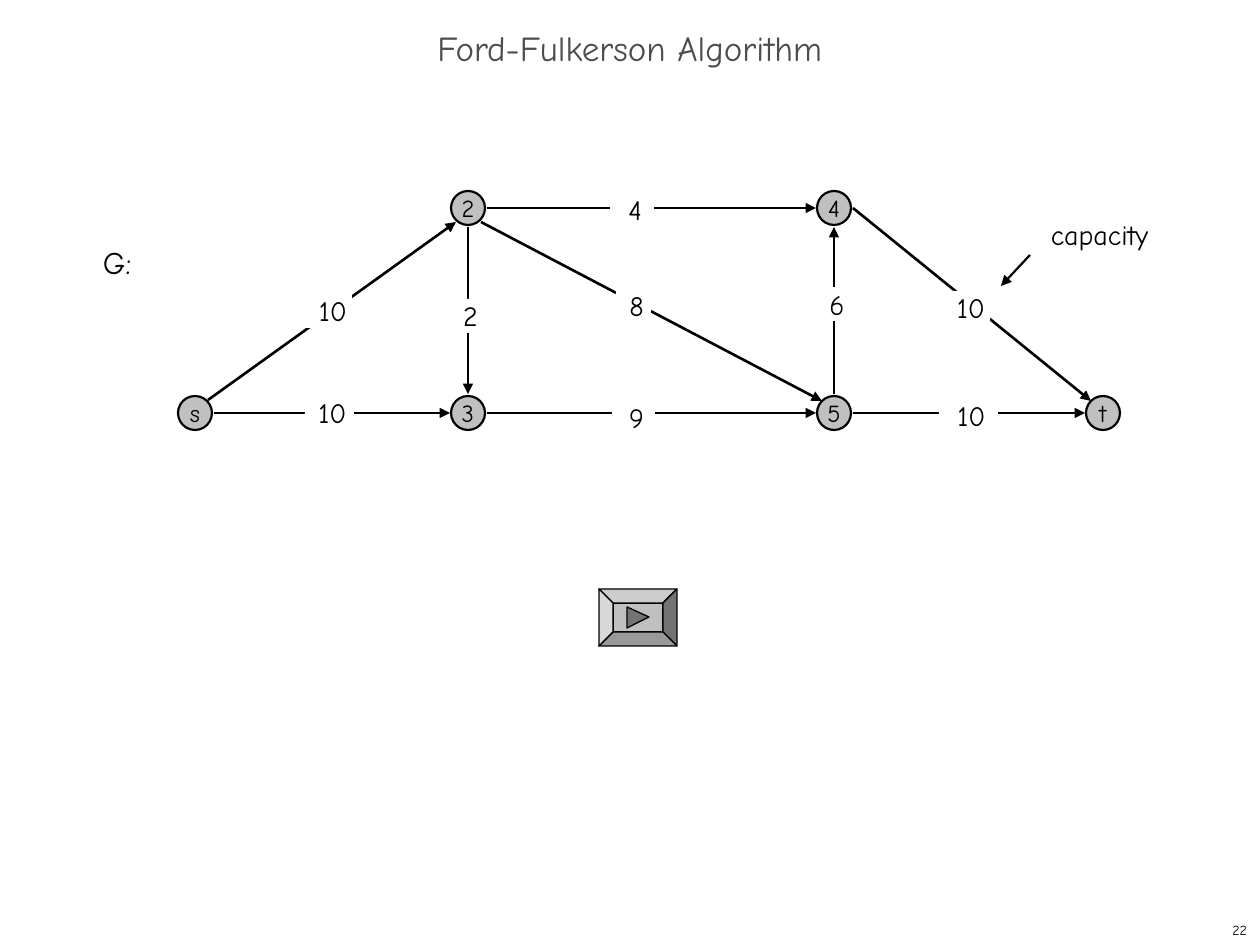
from lxml.etree import SubElement
from pptx import Presentation
from pptx.dml.color import RGBColor
from pptx.enum.shapes import MSO_CONNECTOR, MSO_SHAPE
from pptx.enum.text import MSO_ANCHOR as Anchor, PP_ALIGN as Align
from pptx.oxml.ns import qn
from pptx.util import Pt

PX = 914400 / 126
FONT = "Comic Neue"
BLACK = RGBColor(0x00, 0x00, 0x00)
WHITE = RGBColor(0xFF, 0xFF, 0xFF)
TITLE_GRAY = RGBColor(0x4D, 0x4D, 0x4D)
NODE_GRAY = RGBColor(0xC0, 0xC0, 0xC0)
BEVEL_TOP = RGBColor(0xCC, 0xCC, 0xCC)
BEVEL_RIGHT = RGBColor(0x73, 0x73, 0x73)
BEVEL_BOTTOM = RGBColor(0x99, 0x99, 0x99)
BEVEL_LEFT = RGBColor(0xD9, 0xD9, 0xD9)

NODE_SIZE = 34
NODES = {
    "s": (195, 413), "2": (468, 208), "3": (468, 413),
    "4": (834, 208), "5": (834, 413), "t": (1103, 413),
}
SIDES = {
    "N": (0, -19), "S": (0, 19), "E": (19, 0), "W": (-18, 0),
    "NE": (13, -13), "NW": (-12, -12), "SE": (13, 14), "SW": (-12, 14),
}
EDGES = [
    ("s", "NE", "2", "SW"), ("s", "E", "3", "W"), ("3", "E", "5", "W"),
    ("2", "E", "4", "W"), ("2", "S", "3", "N"), ("5", "N", "4", "S"),
    ("2", "SE", "5", "NW"), ("4", "E", "t", "NW"), ("5", "E", "t", "W"),
]
LABEL_HEIGHT = 34
CAPACITIES = [
    ("10", 305, 396, 49, 6), ("10", 294, 294, 58, 20),
    ("9", 612, 401, 43, 6), ("8", 616, 289, 35, 6),
    ("4", 610, 193, 44, 6), ("10", 939, 399, 59, 6),
    ("10", 932, 291, 58, 20), ("6", 805, 287, 58, 6),
    ("2", 438, 299, 59, 6),
]


def px(length):
    """Turn px into EMU."""
    return round(length * PX)


def write(shape, text, size, color=BLACK, align=Align.CENTER,
          anchor=Anchor.TOP, insets=(0, 0, 0, 0), wrap=True, spacing=None):
    """Set one styled paragraph in a shape."""
    frame = shape.text_frame
    left, top, right, bottom = map(px, insets)
    frame_format = {
        "margin_left": left, "margin_top": top, "margin_right": right,
        "margin_bottom": bottom, "vertical_anchor": anchor, "word_wrap": wrap,
    }
    for name, value in frame_format.items():
        setattr(frame, name, value)
    paragraph = frame.paragraphs[0]
    paragraph.alignment = align
    paragraph.line_spacing = spacing
    run = paragraph.add_run()
    run.text = text
    for name, value in {"name": FONT, "size": Pt(size)}.items():
        setattr(run.font, name, value)
    run.font.color.rgb = color


def paint(shape, fill, line_width=None):
    """Give a shape a flat fill and an optional black outline."""
    shape.shadow.inherit = False
    shape.fill.solid()
    shape.fill.fore_color.rgb = fill
    if line_width is None:
        shape.line.fill.background()
    else:
        shape.line.color.rgb = BLACK
        shape.line.width = Pt(line_width)


def add_caption(slide, box, text, size, **text_format):
    """Add a text box with the usual insets."""
    caption = slide.shapes.add_textbox(*map(px, box))
    write(caption, text, size, insets=(13, 6, 13, 6), **text_format)


def add_node(slide, name, center):
    """Add a named circle around its center."""
    left, top = (value - NODE_SIZE / 2 for value in center)
    node = slide.shapes.add_shape(
        MSO_SHAPE.OVAL, *map(px, (left, top, NODE_SIZE, NODE_SIZE)))
    paint(node, NODE_GRAY, 1.25)
    write(node, name, 14, anchor=Anchor.MIDDLE, insets=(13, 6, 13, 6), wrap=False)


def add_arrow(slide, start, end, width):
    """Add a straight arrow from start to end."""
    arrow = slide.shapes.add_connector(
        MSO_CONNECTOR.STRAIGHT, *map(px, (*start, *end)))
    arrow.line.color.rgb = BLACK
    arrow.line.width = Pt(width)
    SubElement(arrow.line._get_or_add_ln(), qn("a:tailEnd"), type="triangle")
    SubElement(arrow._element.spPr, qn("a:effectLst"))


def port(node, side):
    """Return the point where an edge meets a node."""
    return tuple(c + d for c, d in zip(NODES[node], SIDES[side]))


def add_label(slide, text, box, indent, size=16, align=Align.CENTER):
    """Add a white label that interrupts the edge behind it."""
    label = slide.shapes.add_shape(MSO_SHAPE.RECTANGLE, *map(px, box))
    paint(label, WHITE)
    write(label, text, size, align=align, insets=(indent, 0, 0, 0))


def add_facet(slide, points, fill):
    """Add one closed polygon of the button."""
    builder = slide.shapes.build_freeform(*points[0], scale=PX)
    builder.add_line_segments(points[1:], close=True)
    paint(builder.convert_to_shape(), fill, 0.75)


def add_play_button(slide, left, top, right, bottom, bevel):
    """Add a beveled button with a play triangle."""
    outer = [(left, top), (right, top), (right, bottom), (left, bottom)]
    inner = [(left + bevel, top + bevel), (right - bevel, top + bevel),
             (right - bevel, bottom - bevel), (left + bevel, bottom - bevel)]
    add_facet(slide, inner, NODE_GRAY)
    for i, fill in enumerate((BEVEL_TOP, BEVEL_RIGHT, BEVEL_BOTTOM, BEVEL_LEFT)):
        j = (i + 1) % 4
        add_facet(slide, [outer[i], outer[j], inner[j], inner[i]], fill)
    add_facet(slide, [(627, 607), (649, 617), (627, 628)], BEVEL_RIGHT)


def main():
    """Build the flow network slide."""
    deck = Presentation()
    deck.slide_width, deck.slide_height = px(1260), px(945)
    slide = deck.slides.add_slide(deck.slide_layouts[6])
    add_caption(slide, (0, 21, 1260, 63), "Ford-Fulkerson Algorithm", 20,
                color=TITLE_GRAY, anchor=Anchor.MIDDLE, spacing=0.7)
    for name, center in NODES.items():
        add_node(slide, name, center)
    for source, source_side, target, target_side in EDGES:
        add_arrow(slide, port(source, source_side), port(target, target_side), 1.5)
    for capacity, left, top, width, indent in CAPACITIES:
        add_label(slide, capacity, (left, top, width, LABEL_HEIGHT), indent)
    add_label(slide, "G:", (93, 243, 60, 38), 10, size=18, align=Align.LEFT)
    add_caption(slide, (1022, 212, 155, 47), "capacity", 16)
    add_arrow(slide, (1030, 255), (1001, 286), 1.25)
    add_play_button(slide, 599, 589, 677, 646, 14)
    add_caption(slide, (998, 914, 262, 31), "22", 8,
                align=Align.RIGHT, anchor=Anchor.MIDDLE)
    deck.save("out.pptx")


if __name__ == "__main__":
    main()
